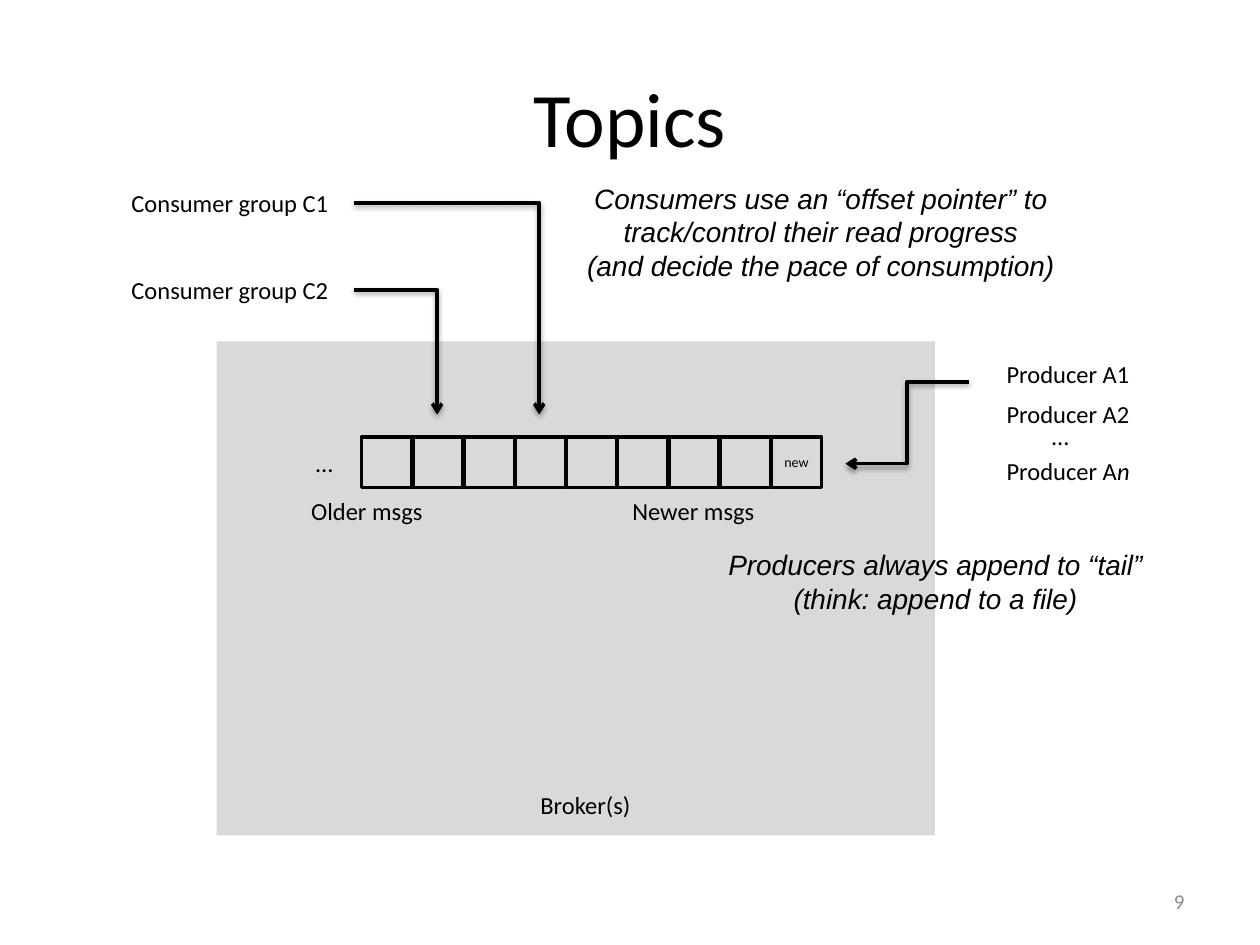
from lxml import etree
from pptx import Presentation
from pptx.dml.color import RGBColor
from pptx.enum.shapes import MSO_CONNECTOR, MSO_SHAPE
from pptx.enum.text import MSO_ANCHOR, PP_ALIGN
from pptx.oxml.ns import qn
from pptx.util import Inches, Pt

ELBOW, RECT = MSO_CONNECTOR.ELBOW, MSO_SHAPE.RECTANGLE
LEFT, MID, RIGHT = PP_ALIGN.LEFT, PP_ALIGN.CENTER, PP_ALIGN.RIGHT
BLACK, GREY, PALE = "000000", "8C8C8C", "D9D9D9"

TITLE = ("Topics", (0.5, 0.3, 9, 1.25))
NUMBER = ("9", (7.17, 6.95, 2.33, 0.4))
BROKER = (1.72, 2.71, 5.7, 3.92)
CELLS = [""] * 8 + ["new"]
ROW_X, ROW_Y, CELL, STEP = 2.87, 3.47, 0.4, 0.4065

LABELS = [
    ("Broker(s)", (4.19, 6.22, 1.01, 0.31), LEFT),
    ("Producer A1", (7.89, 2.8, 1.28, 0.34), LEFT),
    ("Producer A2", (7.89, 3.12, 1.28, 0.34), LEFT),
    ("…", (8.25, 3.29, 0.4, 0.34), LEFT),
    ("…", (2.41, 3.51, 0.4, 0.34), LEFT),
    ("Older msgs", (2.37, 3.89, 1.21, 0.34), LEFT),
    ("Newer msgs", (4.92, 3.89, 1.29, 0.34), LEFT),
    ("Consumer group C1", (0.84, 1.44, 1.97, 0.34), MID),
    ("Consumer group C2", (0.84, 2.13, 1.97, 0.34), MID),
]
LAST = ("Producer A", "n", (7.89, 3.57, 1.32, 0.34))
NOTES = [
    (["Producers always append to “tail”", "(think: append to a file)"],
     (5.63, 4.3, 3.59, 0.64)),
    (["Consumers use an “offset pointer” to",
      "track/control their read progress",
      "(and decide the pace of consumption)"], (4.51, 1.39, 4.01, 0.91)),
]
ARROWS = [
    ((7.69, 3.03), (6.71, 3.68), "bentConnector3"),
    ((2.81, 1.61), (4.28, 3.29), "bentConnector2"),
    ((2.81, 2.3), (3.47, 3.29), "bentConnector2"),
]


def color(code):
    return RGBColor.from_string(code)


def style(para, size, align=LEFT, face="Calibri", ink=BLACK, slant=False):
    para.alignment = align
    font = para.font
    font.name, font.size, font.italic = face, Pt(size), slant
    font.color.rgb = color(ink)


def inches(box):
    return [Inches(n) for n in box]


def write(lines, box, size=14, align=LEFT, **look):
    frame = slide.shapes.add_textbox(*inches(box)).text_frame
    frame.word_wrap = False
    frame.text = "\n".join(lines)
    for para in frame.paragraphs:
        style(para, size, align, **look)
    return frame


def block(box):
    shape = slide.shapes.add_shape(RECT, *inches(box))
    shape.shadow.inherit = False
    return shape


def arrow(start, end, kind):
    link = slide.shapes.add_connector(ELBOW, *inches(start + end))
    link.line.color.rgb = color(BLACK)
    link.line.width = Pt(2)
    props = link._element.spPr
    props.find(qn("a:prstGeom")).set("prst", kind)
    etree.SubElement(props.find(qn("a:ln")), qn("a:tailEnd"), type="arrow")
    effects = etree.SubElement(props, qn("a:effectLst"))
    shade = etree.SubElement(
        effects, qn("a:outerShdw"), blurRad="40000", dist="20000",
        dir="5400000", rotWithShape="0")
    tint = etree.SubElement(shade, qn("a:srgbClr"), val=BLACK)
    etree.SubElement(tint, qn("a:alpha"), val="38000")


deck = Presentation()
deck.slide_width, deck.slide_height = Inches(10), Inches(7.5)
slide = deck.slides.add_slide(deck.slide_layouts[5])

broker = block(BROKER)
broker.fill.solid()
broker.fill.fore_color.rgb = color(PALE)
broker.line.fill.background()

title = slide.shapes.title
title.left, title.top, title.width, title.height = inches(TITLE[1])
title.text_frame.text = TITLE[0]
title.text_frame.vertical_anchor = MSO_ANCHOR.MIDDLE
style(title.text_frame.paragraphs[0], 44, MID)

number = write([NUMBER[0]], NUMBER[1], 12, RIGHT, ink=GREY)
number.word_wrap = True
number.vertical_anchor = MSO_ANCHOR.MIDDLE

for i, text in enumerate(CELLS):
    cell = block((ROW_X + i * STEP, ROW_Y, CELL, CELL))
    cell.fill.background()
    cell.line.color.rgb = color(BLACK)
    cell.line.width = Pt(2)
    if text:
        frame = cell.text_frame
        frame.margin_left = frame.margin_right = 0
        frame.text = text
        style(frame.paragraphs[0], 8, MID)

for text, box, align in LABELS:
    write([text], box, align=align)

last = write([LAST[0]], LAST[2])
run = last.paragraphs[0].add_run()
run.text = LAST[1]
run.font.italic = True

for lines, box in NOTES:
    write(lines, box, 16, MID, face="Arial", slant=True)

for start, end, kind in ARROWS:
    arrow(start, end, kind)

deck.save("out.pptx")
